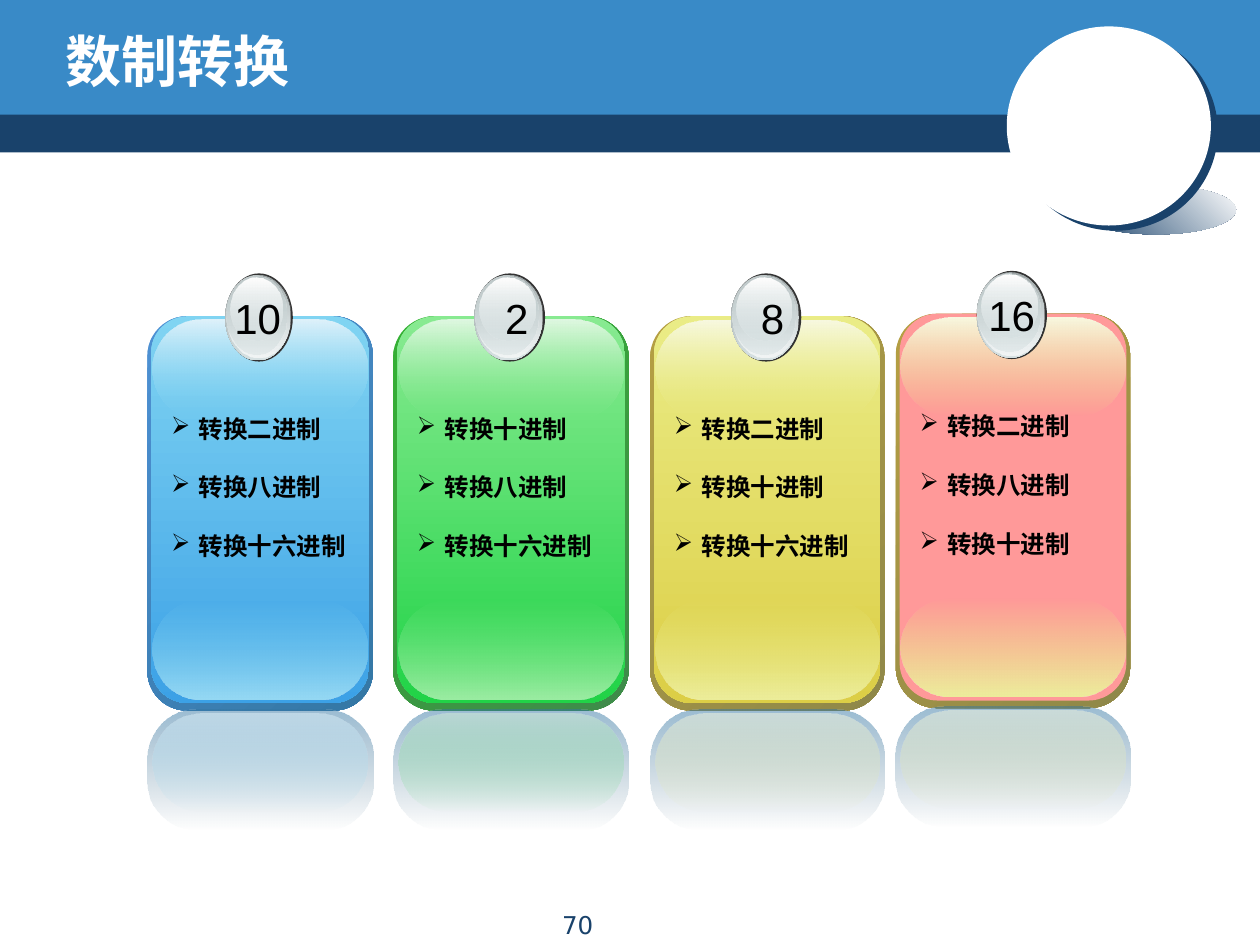
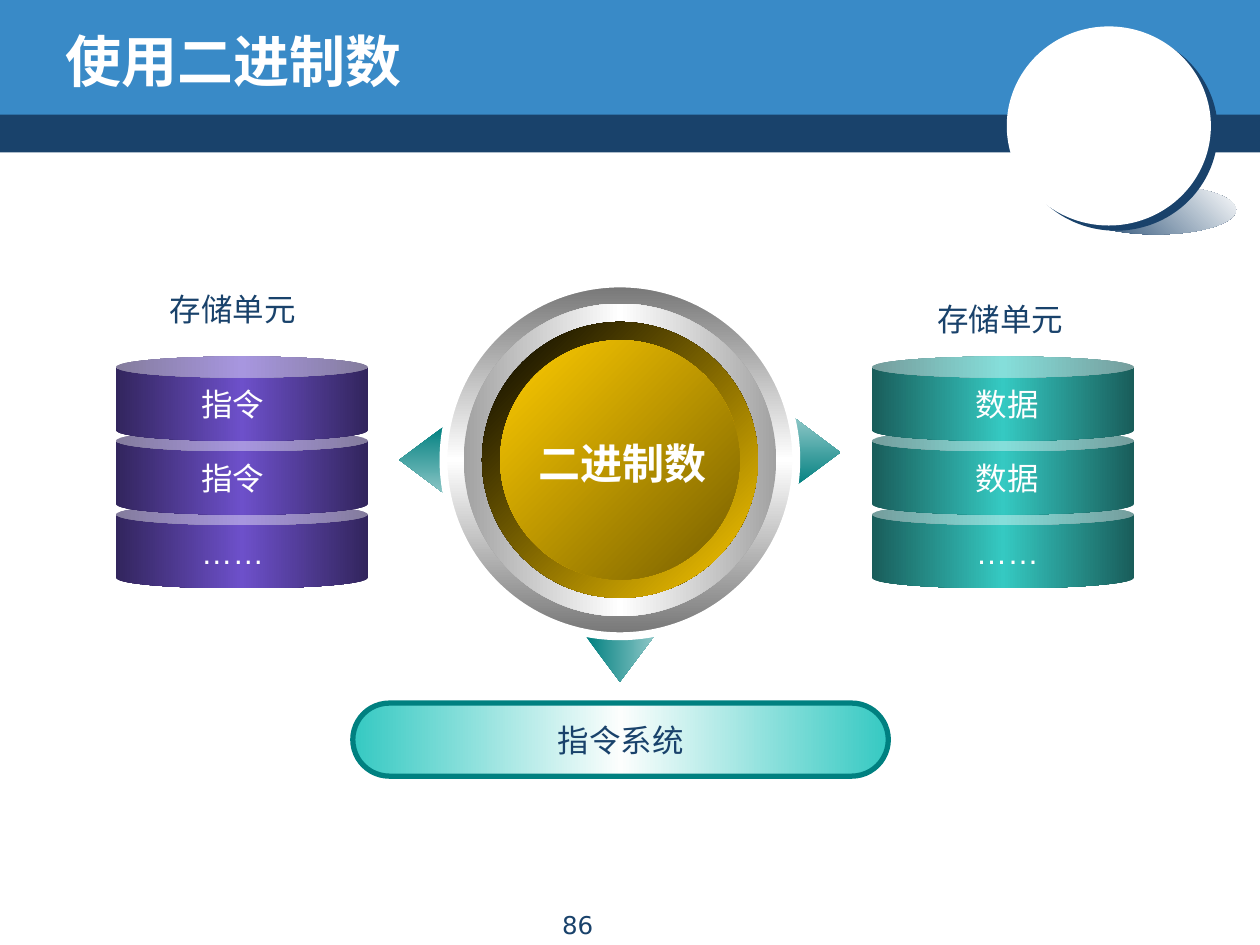
"""Build two slides on number systems: base conversion and the use of binary numbers."""
from dataclasses import dataclass
from typing import Optional, Union

from lxml.etree import SubElement
from pptx import Presentation
from pptx.dml.color import RGBColor
from pptx.enum.shapes import MSO_SHAPE as SHAPE
from pptx.enum.text import MSO_ANCHOR as ANCHOR, PP_ALIGN as ALIGN
from pptx.oxml.ns import qn
from pptx.util import Inches, Pt

rgb = RGBColor.from_string
WHITE, BLACK = rgb("FFFFFF"), rgb("000000")
NAVY, BAND_BLUE = rgb("19426B"), rgb("398AC7")
CHARCOAL, STEEL, SILVER = rgb("333333"), rgb("99A1A2"), rgb("D6E1E2")
PEARL, ASH = rgb("F2F5F5"), rgb("C1CBCC")
RING_DARK, RING_MID = rgb("767676"), rgb("A2A2A2")
GOLD, BRONZE = rgb("FFCC00"), rgb("765E00")
TEAL, TEAL_PALE, MINT = rgb("008080"), rgb("8CC6C6"), rgb("FCFEFD")
TURQUOISE, TURQUOISE_DARK = rgb("35C9C2"), rgb("195D5A")
PURPLE, PURPLE_DARK = rgb("6D50CA"), rgb("32255D")
BLUE_EDGE, BLUE_DEEP, BLUE_SHADE = rgb("4E91D4"), rgb("3477A4"), rgb("255575")
BLUE_LIGHT, BLUE, BLUE_FOOT, BLUE_PALE = rgb("80D4F2"), rgb("3CA1E6"), rgb("97DAF4"), rgb("DFF2FB")
GREEN_EDGE, GREEN_DEEP = rgb("34B034"), rgb("3F8B4A")
GREEN_LIGHT, GREEN, GREEN_FOOT = rgb("88EA91"), rgb("21D347"), rgb("9DEDA4")
GREEN_PALE, GREEN_MIST = rgb("E0F8E2"), rgb("D6F1D8")
OLIVE_EDGE, OLIVE_DEEP = rgb("B59F43"), rgb("8F8849")
YELLOW_LIGHT, YELLOW, YELLOW_FOOT, YELLOW_PALE = rgb("EAEC86"), rgb("DCCE46"), rgb("EDEE9C"), rgb("F8F9E0")
PINK = rgb("FF9999")
SANS, ARIAL, TITLE_FONT = "DejaVu Sans", "Arial", "Comic Neue"


@dataclass(frozen=True)
class Grad:
    """Evenly spaced colours, an angle in degrees and an opacity for each end."""
    colours: tuple
    angle: int = 90
    start: int = 100
    end: int = 100


Fill = Union[RGBColor, Grad]


@dataclass(frozen=True)
class Palette:
    """Fills of one glossy card."""
    edge: Grad
    body: Fill
    foot: Grad
    top: Grad
    mirror: Grad


@dataclass(frozen=True)
class Card:
    """A numbered card; the number box is placed relative to the card."""
    left: float
    top: float
    width: float
    base: str
    base_left: float
    base_width: float
    targets: tuple
    palette: Palette


@dataclass(frozen=True)
class Stack:
    """A pile of storage cells with a heading."""
    left: float
    width: float
    fill: Grad
    cells: tuple
    label_left: float
    heading_left: float
    heading_top: float


@dataclass(frozen=True)
class Pointer:
    """An arrowhead that leaves the central disc."""
    left: float
    top: float
    rotation: int


def palette(edge: tuple, light: RGBColor, body: Fill, foot: RGBColor,
            pale: RGBColor, mirror: tuple) -> Palette:
    """Derive the glossy fills of a card from its colours."""
    return Palette(Grad(edge, 45), body, Grad((light, foot), start=0),
                   Grad((pale, light), end=0), Grad(mirror, start=50, end=0))


BLUE_CARD = palette((BLUE_EDGE, BLUE_DEEP), BLUE_LIGHT, Grad((BLUE_LIGHT, BLUE)),
                    BLUE_FOOT, BLUE_PALE, (BLUE_PALE, BLUE_LIGHT))
GREEN_CARD = palette((GREEN_EDGE, GREEN_DEEP), GREEN_LIGHT, Grad((GREEN_LIGHT, GREEN)),
                     GREEN_FOOT, GREEN_PALE, (GREEN_MIST, GREEN))
YELLOW_CARD, PINK_CARD = (
    palette((OLIVE_EDGE, OLIVE_DEEP), YELLOW_LIGHT, body, YELLOW_FOOT,
            YELLOW_PALE, (YELLOW_PALE, YELLOW_LIGHT))
    for body in (Grad((YELLOW_LIGHT, YELLOW)), PINK))
REFLECTION = Grad((BLUE_DEEP, BLUE_SHADE), start=50, end=0)

TO_2, TO_8, TO_10, TO_16 = "转换二进制", "转换八进制", "转换十进制", "转换十六进制"
CARDS = (
    Card(1.17, 2.51, 1.79, "10", 0.57, 0.61, (TO_2, TO_8, TO_16), BLUE_CARD),
    Card(3.12, 2.51, 1.87, "2", 0.79, 0.31, (TO_10, TO_8, TO_16), GREEN_CARD),
    Card(5.16, 2.51, 1.86, "8", 0.78, 0.3, (TO_2, TO_10, TO_16), YELLOW_CARD),
    Card(7.11, 2.49, 1.86, "16", 0.62, 0.6, (TO_2, TO_8, TO_10), PINK_CARD),
)
BADGE_LAYERS = (
    (0, 0, 0, 0.7, CHARCOAL),
    (0, 0.01, 0.02, 0.68, Grad((STEEL, SILVER))),
    (0.01, 0.01, 0.03, 0.66, Grad((SILVER, PEARL), start=0)),
    (0.01, 0.02, 0.06, 0.62, Grad((ASH, SILVER), end=48)),
    (0.04, 0.03, 0.12, 0.5, Grad((WHITE, SILVER), end=38)),
)
STACKS = (
    Stack(0.92, 2, Grad((PURPLE_DARK, PURPLE, PURPLE_DARK), 0),
          ("指令", "指令", "……"), 1.49, 1.25, 2.25),
    Stack(6.92, 2.08, Grad((TURQUOISE_DARK, TURQUOISE, TURQUOISE_DARK), 0),
          ("数据", "数据", "……"), 7.64, 7.34, 2.33),
)
POINTERS = (Pointer(3.08, 3.47, 270), Pointer(6.22, 3.41, 90), Pointer(4.65, 5.05, 180))
DISC_CENTRE = (4.92, 3.65)
DISCS = (
    (2.8, Grad((RING_DARK, WHITE, RING_DARK))),
    (2.48, Grad((RING_MID, WHITE, RING_MID), 0)),
    (2.19, Grad((BLACK, GOLD), 45)),
    (1.9, Grad((GOLD, BRONZE), 45)),
)


def paint_gradient(sp, grad: Grad) -> None:
    """Give a shape a linear gradient."""
    sp.fill.background()
    no_fill = sp.element.spPr.find(qn("a:noFill"))
    fill = SubElement(sp.element.spPr, qn("a:gradFill"), rotWithShape="1")
    stops = SubElement(fill, qn("a:gsLst"))
    last = len(grad.colours) - 1
    for i, colour in enumerate(grad.colours):
        stop = SubElement(stops, qn("a:gs"), pos=str(100000 * i // last))
        clr = SubElement(stop, qn("a:srgbClr"), val=str(colour))
        opacity = grad.start + (grad.end - grad.start) * i // last
        if opacity < 100:
            SubElement(clr, qn("a:alpha"), val=str(opacity * 1000))
    SubElement(fill, qn("a:lin"), ang=str(grad.angle * 60000), scaled="0")
    no_fill.getparent().replace(no_fill, fill)


def add_figure(shapes, kind, left: float, top: float, width: float, height: float,
               fill: Fill, adj: tuple = (), line: Optional[RGBColor] = None, weight: float = 0):
    """Add a preset shape without a shadow."""
    sp = shapes.add_shape(kind, Inches(left), Inches(top), Inches(width), Inches(height))
    sp.shadow.inherit = False
    for i, value in enumerate(adj):
        sp.adjustments[i] = value
    if isinstance(fill, Grad):
        paint_gradient(sp, fill)
    else:
        sp.fill.solid()
        sp.fill.fore_color.rgb = fill
    if line is None:
        sp.line.fill.background()
    else:
        sp.line.color.rgb = line
        sp.line.width = Pt(weight)
    return sp


def style_text(tf, font: str, size: float, colour: RGBColor, bold: bool = False,
               align=ALIGN.CENTER) -> None:
    """Format every run of a text frame."""
    for p in tf.paragraphs:
        p.alignment = align
        for r in p.runs:
            r.font.name, r.font.size, r.font.bold = font, Pt(size), bold
            r.font.color.rgb = colour


def add_label(shapes, left: float, top: float, width: float, height: float, text: str,
              font: str, size: float, colour: RGBColor, bold: bool = False,
              align=ALIGN.CENTER, wrap: bool = True):
    """Add a text box and return its text frame."""
    tf = shapes.add_textbox(Inches(left), Inches(top), Inches(width), Inches(height)).text_frame
    tf.word_wrap = wrap
    tf.text = text
    style_text(tf, font, size, colour, bold, align)
    return tf


def add_bullets(tf) -> None:
    """Turn the paragraphs into a double-spaced arrow list."""
    indent = Inches(0.22)
    for p in tf.paragraphs:
        p.line_spacing = 2.0
        props = p._p.get_or_add_pPr()
        props.set("marL", str(indent))
        props.set("indent", str(-indent))
        SubElement(props, qn("a:buChar"), char="➢")


def dress_layout(layout, slide) -> None:
    """Draw the header band and circle, then hand them to the layout."""
    shapes = slide.shapes
    lower = add_figure(shapes, SHAPE.RECTANGLE, 0, 0.87, 10, 0.34, NAVY)
    upper = add_figure(shapes, SHAPE.RECTANGLE, 0, 0, 10, 0.91, BAND_BLUE)
    shade = add_figure(shapes, SHAPE.OVAL, 8.54, 1.47, 1.27, 0.39, Grad((NAVY, WHITE), 315))
    circle = add_figure(shapes, SHAPE.OVAL, 7.99, 0.21, 1.62, 1.58, WHITE)
    effects = circle.element.spPr.find(qn("a:effectLst"))
    shadow = SubElement(effects, qn("a:outerShdw"), dist=str(Pt(5)), dir=str(37 * 60000),
                        algn="ctr", rotWithShape="0")
    SubElement(shadow, qn("a:srgbClr"), val=str(NAVY))
    for i, sp in enumerate((lower, upper, shade, circle)):
        sp.element.nvSpPr.cNvPr.set("id", str(20 + i))
        layout.shapes.element.insert(2 + i, sp.element)


def add_titled_slide(prs, title: str, number: int):
    """Add a slide with its title and page number."""
    slide = prs.slides.add_slide(prs.slide_layouts[5])
    sp = slide.shapes.title
    sp.left, sp.top, sp.width, sp.height = (Inches(v) for v in (0.42, 0.17, 8.08, 0.62))
    tf = sp.text_frame
    tf.text = title
    tf.vertical_anchor = ANCHOR.MIDDLE
    style_text(tf, TITLE_FONT, 32, WHITE, True, ALIGN.LEFT)
    add_label(slide.shapes, 3.42, 7.17, 2.33, 0.26, str(number), SANS, 14, NAVY)
    return slide


def draw_card(slide, card: Card) -> None:
    """Draw a glossy card with reflection, badge, number and list."""
    shapes = slide.shapes.add_group_shape().shapes
    x, y, w, fills = card.left, card.top, card.width, card.palette
    layers = (
        (0, 0, 3.13, 0.175, fills.edge),
        (0.03, 0, 3.07, 0.167, fills.body),
        (0.04, 2.26, 0.78, 0.5, fills.foot),
        (0.04, 0.03, 0.78, 0.5, fills.top),
        (0, 3.12, 0.95, 0.404, REFLECTION),
        (0.04, 3.15, 0.78, 0.5, fills.mirror),
    )
    for inset, drop, height, corner, fill in layers:
        add_figure(shapes, SHAPE.ROUNDED_RECTANGLE, x + inset, y + drop, w - 2 * inset,
                   height, fill, (corner,))
    for dx, dy, narrower, height, fill in BADGE_LAYERS:
        add_figure(shapes, SHAPE.OVAL, x + 0.345 * w + dx, y - 0.34 + dy,
                   0.3 * w - narrower, height, fill)
    add_label(shapes, x + card.base_left, y - 0.24, card.base_width, 0.5,
              card.base, ARIAL, 24, BLACK)
    add_bullets(add_label(shapes, x + 0.09, y + 0.49, w - 0.09, 1.44, "\n".join(card.targets),
                          SANS, 14, BLACK, True, ALIGN.LEFT))


def draw_stack(slide, stack: Stack) -> None:
    """Draw storage cells from the bottom up, then their labels."""
    tops = [2.83 + 0.585 * i for i in range(len(stack.cells))]
    for top in reversed(tops):
        add_figure(slide.shapes, SHAPE.CAN, stack.left, top, stack.width, 0.67, stack.fill, (0.25,))
    for top, cell in zip(tops, stack.cells):
        add_label(slide.shapes, stack.label_left, top + 0.18, 0.71, 0.4, cell,
                  ARIAL, 18, WHITE, wrap=False)
    add_label(slide.shapes, stack.heading_left, stack.heading_top, 1.33, 0.4, "存储单元",
              ARIAL, 18, NAVY, align=ALIGN.LEFT)


def draw_disc(slide) -> None:
    """Draw the pointers and the concentric central disc."""
    shapes = slide.shapes.add_group_shape().shapes
    for pointer in POINTERS:
        sp = add_figure(shapes, SHAPE.UP_ARROW, pointer.left, pointer.top, 0.54, 0.36,
                        Grad((TEAL, TEAL_PALE), 0), (0.517, 1))
        sp.rotation = pointer.rotation
        sp.element.spPr.xfrm.set("flipH", "1")
    cx, cy = DISC_CENTRE
    for i, (size, fill) in enumerate(DISCS):
        add_figure(shapes, SHAPE.OVAL, cx - size / 2, cy - size / 2, size, size, fill,
                   line=None if i else WHITE, weight=4.5)
    add_label(slide.shapes, 4.16, 3.42, 1.56, 0.5, "二进制数", ARIAL, 24, WHITE, True, wrap=False)


def main() -> None:
    """Build and save the presentation."""
    prs = Presentation()
    prs.slide_width, prs.slide_height = Inches(10), Inches(7.5)

    conversion = add_titled_slide(prs, "数制转换", 70)
    dress_layout(conversion.slide_layout, conversion)
    for card in CARDS:
        draw_card(conversion, card)

    binary = add_titled_slide(prs, "使用二进制数", 86)
    draw_disc(binary)
    for stack in STACKS:
        draw_stack(binary, stack)
    pill = add_figure(binary.shapes, SHAPE.ROUNDED_RECTANGLE, 2.8, 5.58, 4.25, 0.58,
                      Grad((TURQUOISE, MINT, TURQUOISE), 0), (0.5,), TEAL, 3)
    tf = pill.text_frame
    tf.text = "指令系统"
    tf.word_wrap = False
    tf.vertical_anchor = ANCHOR.MIDDLE
    style_text(tf, SANS, 18, NAVY)
    prs.save("out.pptx")


if __name__ == "__main__":
    main()
